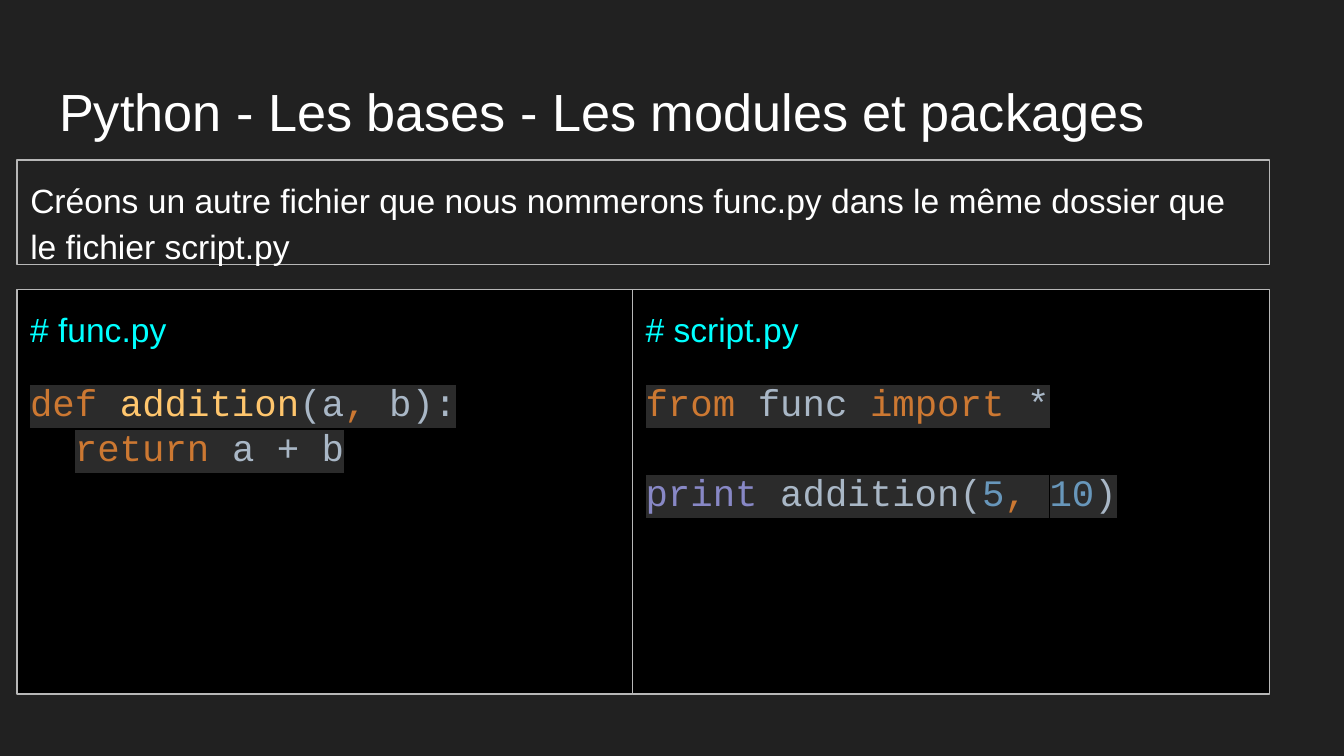
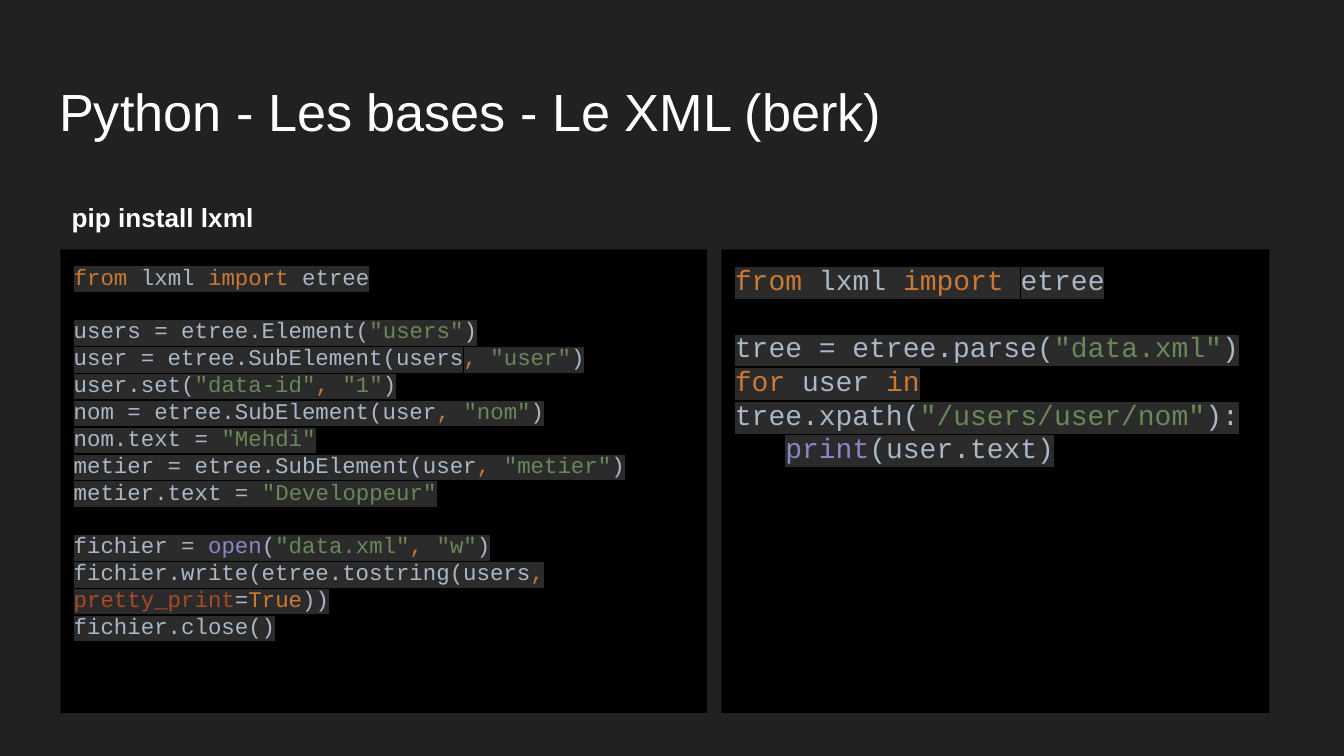
from lxml import etree
from pptx import Presentation
from pptx.dml.color import RGBColor
from pptx.enum.shapes import MSO_SHAPE
from pptx.enum.text import MSO_ANCHOR, MSO_AUTO_SIZE, PP_ALIGN
from pptx.oxml.ns import qn
from pptx.util import Pt

RECTANGLE = MSO_SHAPE.RECTANGLE
TOP = MSO_ANCHOR.TOP
NO_AUTOFIT = MSO_AUTO_SIZE.NONE
LEFT = PP_ALIGN.LEFT

EMU_PER_PX = 4572
INSET = 20
SANS = "Arial"
MONO = "Courier New"
CODE_LINE_HEIGHT = 1.2
MONO_ADVANCE = 0.6

BACKGROUND = "212121"
PANEL = "000000"
BORDER = "B7B7B7"
WHITE = "FFFFFF"
CYAN = "00FFFF"
HIGHLIGHT = "2B2B2B"

KEYWORD = "CC7832"
PLAIN = "A9B7C6"
FUNCTION = "FFC66D"
BUILTIN = "8888C6"
NUMBER = "6897BB"
STRING = "6A8759"
ARGUMENT = "AA4926"

COMMA = (", ", KEYWORD)
CLOSE = (")", PLAIN)
IMPORT_ETREE = [("from ", KEYWORD), ("lxml ", PLAIN), ("import ", KEYWORD), ("etree", PLAIN)]


def px(length):
    return length * EMU_PER_PX


def rgb(value):
    return RGBColor.from_string(value)


def code_line(*tokens, indent=0, gap=0):
    return tokens, indent, gap


def sub_element(name, parent):
    return code_line((f"{name} = etree.SubElement({parent}", PLAIN), COMMA, (f'"{name}"', STRING), CLOSE)


def set_text_value(name, value):
    return code_line((f"{name}.text = ", PLAIN), (f'"{value}"', STRING))


FUNC_CODE = [
    code_line(("def ", KEYWORD), ("addition", FUNCTION), ("(a", PLAIN), COMMA, ("b):", PLAIN)),
    code_line(("return ", KEYWORD), ("a + b", PLAIN), indent=2),
]
SCRIPT_CODE = [
    code_line(("from ", KEYWORD), ("func ", PLAIN), ("import ", KEYWORD), ("*", PLAIN)),
    code_line(("print ", BUILTIN), ("addition(", PLAIN), ("5", NUMBER), COMMA, ("10", NUMBER), CLOSE, gap=1),
]
WRITE_XML_CODE = [
    code_line(*IMPORT_ETREE),
    code_line(("users = etree.Element(", PLAIN), ('"users"', STRING), CLOSE, gap=1),
    sub_element("user", "users"),
    code_line(("user.set(", PLAIN), ('"data-id"', STRING), COMMA, ('"1"', STRING), CLOSE),
    sub_element("nom", "user"),
    set_text_value("nom", "Mehdi"),
    sub_element("metier", "user"),
    set_text_value("metier", "Developpeur"),
    code_line(("fichier = ", PLAIN), ("open", BUILTIN), ("(", PLAIN), ('"data.xml"', STRING),
              COMMA, ('"w"', STRING), CLOSE, gap=1),
    code_line(("fichier.write(etree.tostring(users", PLAIN), COMMA, ("pretty_print", ARGUMENT),
              ("=", PLAIN), ("True", KEYWORD), ("))", PLAIN)),
    code_line(("fichier.close()", PLAIN)),
]
READ_XML_CODE = [
    code_line(*IMPORT_ETREE),
    code_line(("tree = etree.parse(", PLAIN), ('"data.xml"', STRING), CLOSE, gap=1),
    code_line(("for ", KEYWORD), ("user ", PLAIN), ("in ", KEYWORD), ("tree.xpath(", PLAIN),
              ('"/users/user/nom"', STRING), ("):", PLAIN)),
    code_line(("print", BUILTIN), ("(user.text)", PLAIN), indent=3),
]


def place(shape, left, top, width, height):
    shape.left, shape.top = px(left), px(top)
    shape.width, shape.height = px(width), px(height)


def prepare_frame(shape):
    frame = shape.text_frame
    frame.word_wrap = True
    frame.auto_size = NO_AUTOFIT
    frame.vertical_anchor = TOP
    frame.margin_left = frame.margin_right = px(INSET)
    frame.margin_top = frame.margin_bottom = px(INSET)
    return frame


def style_run(run, size, color, font=SANS, bold=False):
    run.font.size = Pt(size)
    run.font.bold = bold
    run.font.color.rgb = rgb(color)
    run.font.name = font


def highlight(run):
    mark = etree.Element(qn("a:highlight"))
    etree.SubElement(mark, qn("a:srgbClr")).set("val", HIGHLIGHT)
    run.font._element.find(qn("a:solidFill")).addnext(mark)


def write_text(shape, text, size, color=WHITE, spacing=1.0, bold=False):
    frame = prepare_frame(shape)
    frame.text = text
    paragraph = frame.paragraphs[0]
    paragraph.alignment = LEFT
    paragraph.line_spacing = spacing
    paragraph.space_before = Pt(0)
    style_run(paragraph.runs[0], size, color, bold=bold)
    return frame


def write_code_line(paragraph, tokens, indent, space, size):
    paragraph.alignment = LEFT
    paragraph.line_spacing = 1.0
    paragraph.space_before = Pt(space)
    if indent:
        paragraph._p.get_or_add_pPr().set("marL", str(int(Pt(indent * size * MONO_ADVANCE))))
    for text, color in tokens:
        run = paragraph.add_run()
        run.text = text
        style_run(run, size, color, MONO)
        highlight(run)


def set_border(shape):
    shape.line.color.rgb = rgb(BORDER)
    shape.line.width = Pt(0.75)


def add_code_panel(slide, box, lines, size, heading=None):
    panel = slide.shapes.add_shape(RECTANGLE, *map(px, box))
    panel.shadow.inherit = False
    panel.fill.solid()
    panel.fill.fore_color.rgb = rgb(PANEL)
    if heading:
        set_border(panel)
        frame = write_text(panel, heading, 18, CYAN, 1.15)
    else:
        panel.line.fill.background()
        frame = prepare_frame(panel)
    for number, (tokens, indent, gap) in enumerate(lines):
        first = number == 0
        paragraph = frame.paragraphs[0] if first and not heading else frame.add_paragraph()
        space = 16 if first and heading else gap * size * CODE_LINE_HEIGHT
        write_code_line(paragraph, tokens, indent, space, size)


def add_titled_slide(prs, layout, title):
    slide = prs.slides.add_slide(prs.slide_layouts[layout])
    place(slide.shapes.title, 68, 98, 1864, 126)
    write_text(slide.shapes.title, title, 28)
    return slide


def fill_instruction(slide, text):
    instruction = slide.placeholders[1]
    place(instruction, 25, 238, 1864, 156)
    set_border(instruction)
    frame = write_text(instruction, text, 18, spacing=1.15)
    properties = frame.paragraphs[0]._p.get_or_add_pPr()
    properties.set("marL", "0")
    properties.set("indent", "0")
    etree.SubElement(properties, qn("a:buNone"))


def add_label(slide, text, box):
    label = slide.shapes.add_textbox(*map(px, box))
    write_text(label, text, 14, bold=True)


def build_modules_slide(prs):
    slide = add_titled_slide(prs, 1, "Python - Les bases - Les modules et packages")
    fill_instruction(slide, "Créons un autre fichier que nous nommerons func.py "
                            "dans le même dossier que le fichier script.py")
    add_code_panel(slide, (25, 431, 916, 602), FUNC_CODE, 20, "# func.py")
    add_code_panel(slide, (941, 431, 948, 602), SCRIPT_CODE, 20, "# script.py")


def build_xml_slide(prs):
    slide = add_titled_slide(prs, 5, "Python - Les bases - Le XML (berk)")
    add_code_panel(slide, (90, 371, 962, 690), WRITE_XML_CODE, 12)
    add_label(slide, "pip install lxml", (87, 280, 856, 112))
    add_code_panel(slide, (1074, 371, 815, 690), READ_XML_CODE, 15)


def main():
    prs = Presentation()
    prs.slide_width, prs.slide_height = px(2000), px(1125)
    backdrop = prs.slide_master.background.fill
    backdrop.solid()
    backdrop.fore_color.rgb = rgb(BACKGROUND)
    build_modules_slide(prs)
    build_xml_slide(prs)
    prs.save("out.pptx")


if __name__ == "__main__":
    main()
